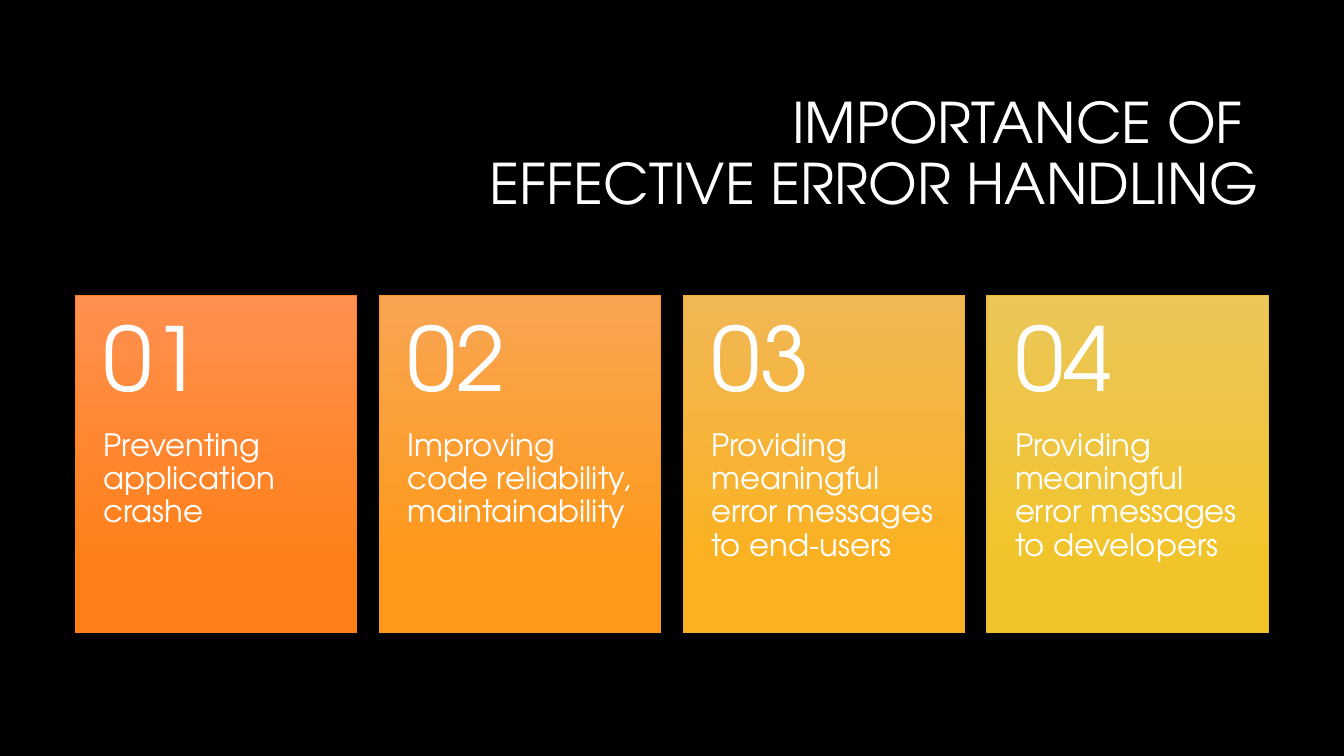
import pptx
import pptx.util
import pptx.dml.color
import pptx.enum.shapes
import pptx.enum.text

Pt = pptx.util.Pt
RGB = pptx.dml.color.RGBColor.from_string
ANCHOR = pptx.enum.text.MSO_ANCHOR
ALIGN = pptx.enum.text.PP_ALIGN

COLORS = {"back": "000000", "text": "FFFFFF"}
FONT = "TeX Gyre Adventor"

# text, gradient top, gradient bottom, outline
CARDS = [
    ("Preventing application crashe", "FE904F", "FF8019", "FE801A"),
    ("Improving code reliability, maintainability", "F8A552", "FF991B", "F79823"),
    ("Providing meaningful error messages to end-users", "F1B755", "FAB122", "F0AD2C"),
    ("Providing meaningful error messages to developers", "EBC659", "F2C42C", "E9BF35"),
]
LEFT, TOP, WIDTH, HEIGHT = 54, 211, 201, 241
PITCH = 217
HEAD = 96

deck = pptx.Presentation()
deck.slide_width, deck.slide_height = Pt(960), Pt(540)
slide = deck.slides.add_slide(deck.slide_layouts[6])
slide.background.fill.solid()
slide.background.fill.fore_color.rgb = RGB(COLORS["back"])


def add_text(text, box, size, insets, anchor, align=ALIGN.LEFT):
    """Insets run left, top, right, bottom, in points."""
    frame = slide.shapes.add_textbox(*map(Pt, box)).text_frame
    frame.word_wrap = True
    frame.vertical_anchor = anchor
    (frame.margin_left, frame.margin_top,
     frame.margin_right, frame.margin_bottom) = map(Pt, insets)
    frame.text = text
    para = frame.paragraphs[0]
    para.alignment = align
    para.line_spacing = 0.9
    para.font.name = FONT
    para.font.size = Pt(size)
    para.font.color.rgb = RGB(COLORS["text"])


add_text("IMPORTANCE OF \vEFFECTIVE ERROR HANDLING", (228, 60.5, 678, 101.5),
         40, (7.2, 3.6, 7.2, 3.6), ANCHOR.MIDDLE, ALIGN.RIGHT)

for i, (text, start, end, edge) in enumerate(CARDS):
    x = LEFT + i * PITCH
    card = slide.shapes.add_shape(pptx.enum.shapes.MSO_SHAPE.RECTANGLE,
                                  Pt(x), Pt(TOP), Pt(WIDTH), Pt(HEIGHT))
    card.shadow.inherit = False
    card.fill.gradient()
    card.fill.gradient_angle = 270
    for stop, place, color in zip(card.fill.gradient_stops, (0, 0.78), (start, end)):
        stop.position = place
        stop.color.rgb = RGB(color)
    card.line.color.rgb = RGB(edge)
    card.line.width = Pt(0.75)
    add_text(text, (x, TOP + HEAD, WIDTH, HEIGHT - HEAD),
             22, (20, 0, 20, 26), ANCHOR.TOP)
    add_text(f"{i + 1:02}", (x, TOP, WIDTH, HEAD),
             63, (20, 13, 20, 13), ANCHOR.MIDDLE)

deck.save("out.pptx")
